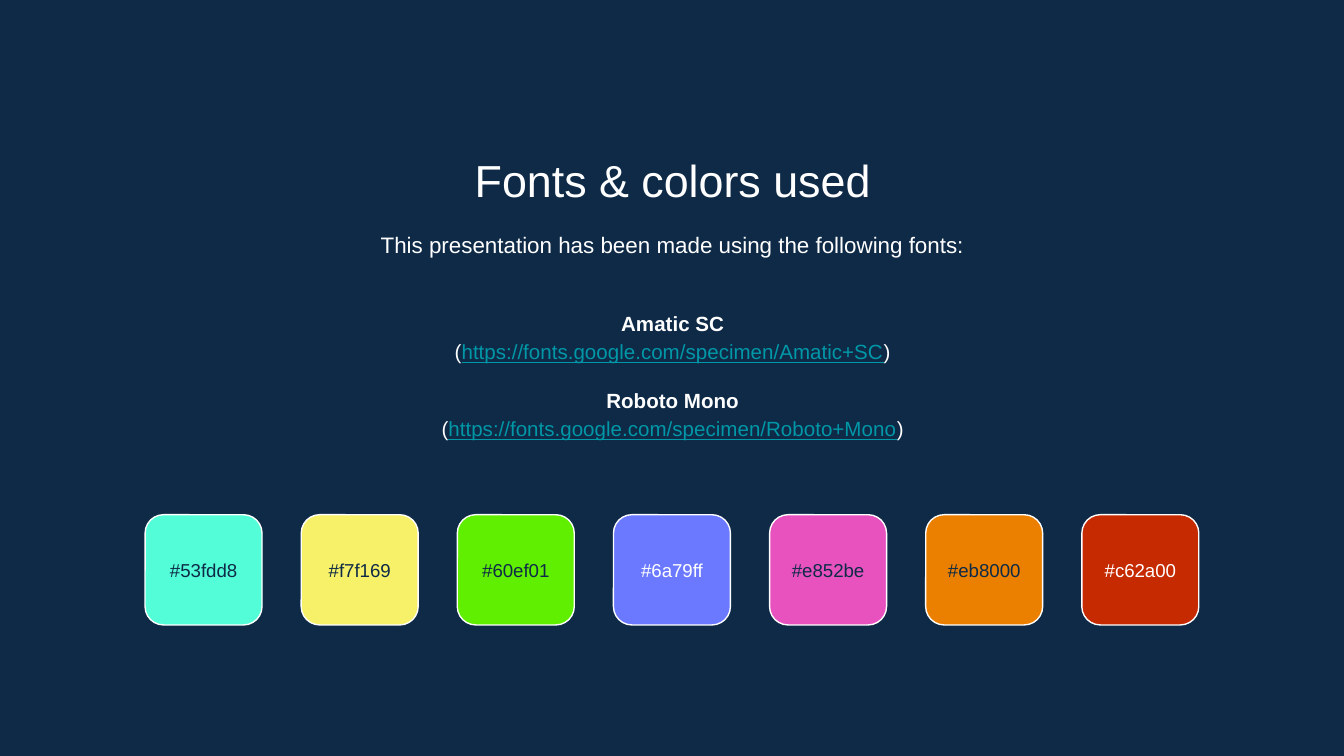
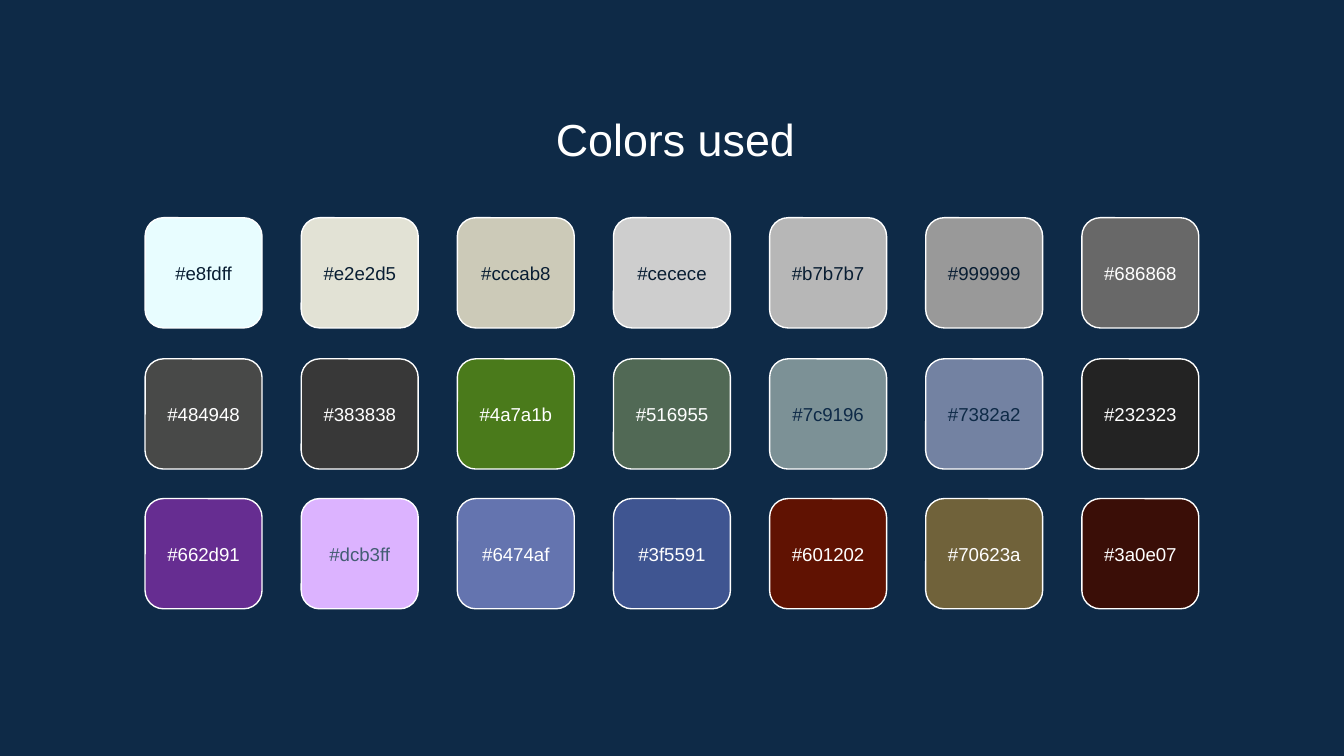
"""Build two slides that list the fonts and colours of a presentation."""
from dataclasses import dataclass
from typing import Any

import pptx
import pptx.dml.color
import pptx.enum.shapes
import pptx.enum.text
import pptx.shapes.group
import pptx.slide
import pptx.util

Inches = pptx.util.Inches
Pt = pptx.util.Pt
ALIGN = pptx.enum.text.PP_ALIGN
ANCHOR = pptx.enum.text.MSO_ANCHOR

NAVY = "0E2A47"
INK = "081D32"
SLATE = "445D73"
WHITE = "FFFFFF"
TEAL = "0097A7"
FONT = "Arial"

SLIDE_WIDTH = 10
SLIDE_HEIGHT = SLIDE_WIDTH * 9 / 16
BODY_LEFT, BODY_WIDTH = 1.15, 7.71
FIRST_LEFT, LAST_LEFT = 1.08, 8.05
SWATCH_WIDTH, SWATCH_HEIGHT = 0.87, 0.82
LABEL_HEIGHT = 0.48
CORNER = 0.167

FRAME_FORMAT = {
    "word_wrap": True,
    "margin_left": Inches(0.1),
    "margin_right": Inches(0.1),
    "margin_top": Inches(0.1),
    "margin_bottom": Inches(0.1),
}


@dataclass(frozen=True)
class Span:
    """A stretch of text with one look."""

    text: str
    color: str = WHITE
    bold: bool = False
    underline: bool = False


@dataclass(frozen=True)
class Line:
    """A centred paragraph made of spans."""

    spans: tuple[Span, ...]
    size: float
    spacing: float = 1.0
    before: float = 0


@dataclass(frozen=True)
class SwatchRow:
    """A row of colour swatches with the colour of each label."""

    top: float
    fills: tuple[str, ...]
    inks: tuple[str, ...]


@dataclass(frozen=True)
class Typeface:
    """A font and the address where it is found."""

    name: str
    address: str


TYPEFACES = (
    Typeface("Amatic SC", "https://fonts.google.com/specimen/Amatic+SC"),
    Typeface("Roboto Mono", "https://fonts.google.com/specimen/Roboto+Mono"),
)

MAIN_ROW = SwatchRow(
    3.83,
    ("53fdd8", "f7f169", "60ef01", "6a79ff", "e852be", "eb8000", "c62a00"),
    (NAVY, NAVY, NAVY, WHITE, NAVY, NAVY, WHITE),
)

EXTRA_ROWS = (
    SwatchRow(
        1.62,
        ("e8fdff", "e2e2d5", "cccab8", "cecece", "b7b7b7", "999999", "686868"),
        (INK,) * 6 + (WHITE,),
    ),
    SwatchRow(
        2.67,
        ("484948", "383838", "4a7a1b", "516955", "7c9196", "7382a2", "232323"),
        (WHITE,) * 4 + (NAVY, NAVY, WHITE),
    ),
    SwatchRow(
        3.71,
        ("662d91", "dcb3ff", "6474af", "3f5591", "601202", "70623a", "3a0e07"),
        (WHITE, SLATE) + (WHITE,) * 5,
    ),
)


def rgb(color: str) -> pptx.dml.color.RGBColor:
    """Turn a hex string into a colour."""
    return pptx.dml.color.RGBColor.from_string(color.upper())


def apply_format(target: Any, values: dict[str, Any]) -> None:
    """Set each named attribute on the target."""
    for name, value in values.items():
        setattr(target, name, value)


def paint(fill: Any, color: str) -> None:
    """Make a fill solid in one colour."""
    fill.solid()
    fill.fore_color.rgb = rgb(color)


def add_text(
    shapes: Any,
    left: float,
    top: float,
    width: float,
    height: float,
    lines: list[Line],
    anchor: Any = ANCHOR.TOP,
) -> None:
    """Add a text box holding centred lines."""
    box = shapes.add_textbox(Inches(left), Inches(top), Inches(width), Inches(height))
    frame = box.text_frame
    apply_format(frame, FRAME_FORMAT | {"vertical_anchor": anchor})
    for index, line in enumerate(lines):
        para = frame.add_paragraph() if index else frame.paragraphs[0]
        apply_format(para, {"alignment": ALIGN.CENTER, "line_spacing": line.spacing})
        if line.before:
            para.space_before = Pt(line.before)
        for span in line.spans:
            run = para.add_run()
            run.text = span.text
            apply_format(run.font, {
                "name": FONT,
                "size": Pt(line.size),
                "bold": span.bold,
                "underline": span.underline,
            })
            run.font.color.rgb = rgb(span.color)


def add_title(page: pptx.slide.Slide, text: str, left: float, top: float) -> None:
    """Add the slide title."""
    add_text(page.shapes, left, top, BODY_WIDTH, 0.53, [Line((Span(text),), 24)])


def add_swatch(
    group: pptx.shapes.group.GroupShape, left: float, top: float, fill: str, ink: str
) -> None:
    """Add a rounded colour tile with its hex code in the middle."""
    tile = group.shapes.add_shape(
        pptx.enum.shapes.MSO_SHAPE.ROUNDED_RECTANGLE,
        Inches(left), Inches(top), Inches(SWATCH_WIDTH), Inches(SWATCH_HEIGHT),
    )
    tile.adjustments[0] = CORNER
    tile.shadow.inherit = False
    paint(tile.fill, fill)
    paint(tile.line.fill, WHITE)
    tile.line.width = Pt(0.75)
    label_top = top + (SWATCH_HEIGHT - LABEL_HEIGHT) / 2
    label = Line((Span(f"#{fill}", ink),), 10)
    add_text(group.shapes, left, label_top, SWATCH_WIDTH, LABEL_HEIGHT, [label], ANCHOR.MIDDLE)


def add_swatch_row(page: pptx.slide.Slide, row: SwatchRow) -> None:
    """Add a group of evenly spaced swatches."""
    group = page.shapes.add_group_shape()
    pitch = (LAST_LEFT - FIRST_LEFT) / (len(row.fills) - 1)
    for column, (fill, ink) in enumerate(zip(row.fills, row.inks)):
        add_swatch(group, FIRST_LEFT + column * pitch, row.top, fill, ink)


def typeface_lines() -> list[Line]:
    """List each font name above its address."""
    lines = []
    for index, face in enumerate(TYPEFACES):
        address = (Span("("), Span(face.address, TEAL, underline=True), Span(")"))
        lines.append(Line((Span(face.name, bold=True),), 11, 1.15, 11 if index else 0))
        lines.append(Line(address, 11, 1.15))
    return lines


def build_fonts_page(page: pptx.slide.Slide) -> None:
    """Fill the slide on fonts and main colours."""
    add_title(page, "Fonts & colors used", BODY_LEFT, 1.04)
    intro = Span("This presentation has been made using the following fonts:")
    add_text(page.shapes, BODY_LEFT, 1.59, BODY_WIDTH, 0.48, [Line((intro,), 12, 1.15)])
    add_text(page.shapes, BODY_LEFT, 2.1, BODY_WIDTH, 1.37, typeface_lines(), ANCHOR.MIDDLE)
    add_swatch_row(page, MAIN_ROW)


def build_colors_page(page: pptx.slide.Slide) -> None:
    """Fill the slide on further colours."""
    add_title(page, "Colors used", 1.17, 0.73)
    for row in EXTRA_ROWS:
        add_swatch_row(page, row)


def main() -> None:
    """Build and save the deck."""
    deck = pptx.Presentation()
    apply_format(deck, {
        "slide_width": Inches(SLIDE_WIDTH),
        "slide_height": Inches(SLIDE_HEIGHT),
    })
    paint(deck.slide_master.background.fill, NAVY)
    blank = deck.slide_layouts[6]
    for build in (build_fonts_page, build_colors_page):
        build(deck.slides.add_slide(blank))
    deck.save("out.pptx")


if __name__ == "__main__":
    main()
